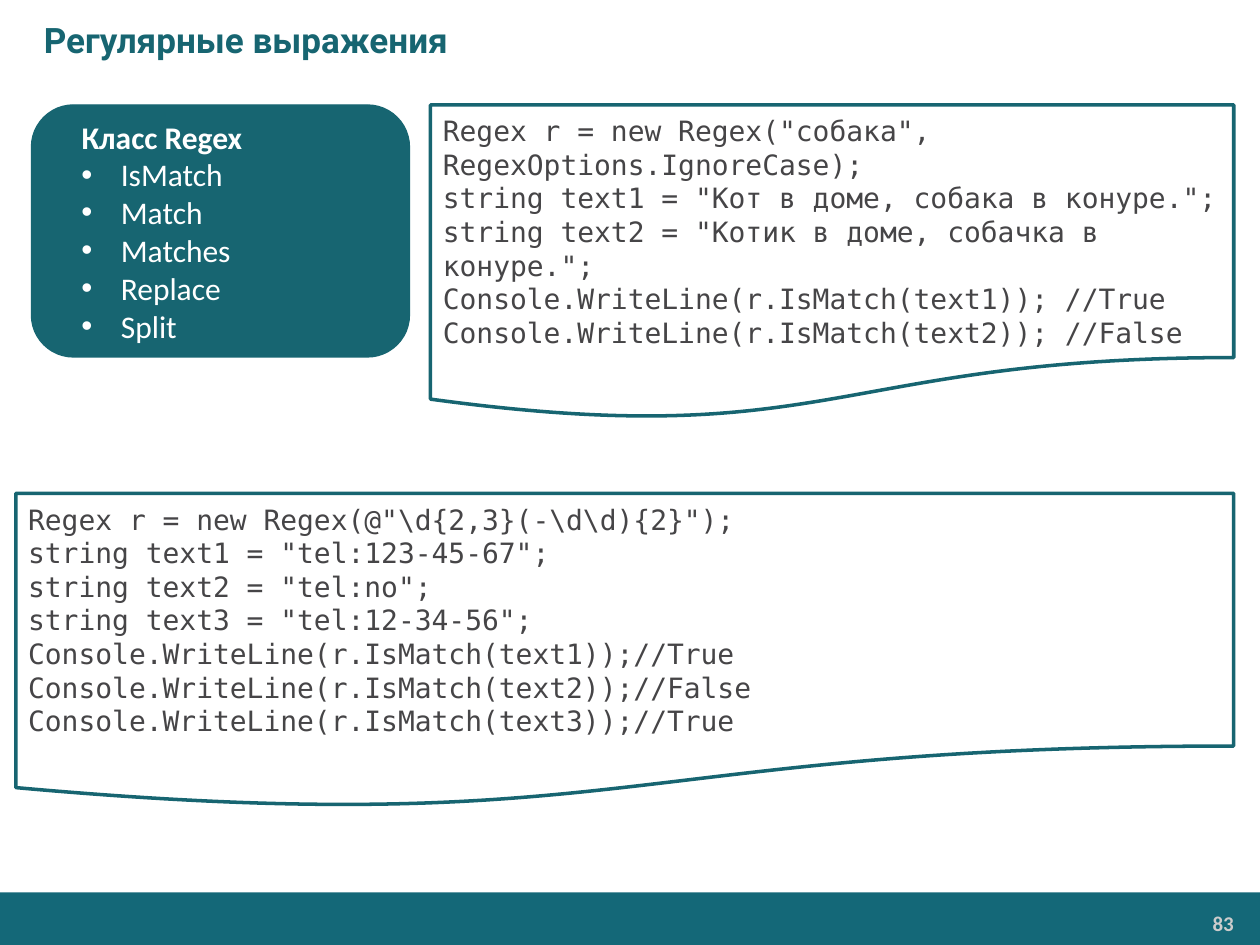
from lxml.etree import SubElement
from pptx import Presentation
from pptx.dml.color import RGBColor
from pptx.enum.shapes import MSO_SHAPE
from pptx.enum.text import MSO_ANCHOR, PP_ALIGN
from pptx.oxml.ns import qn
from pptx.util import Pt

TITLE = "Регулярные выражения"
PAGE_NUMBER = "83"
CLASS_NAME = "Класс Regex"
METHODS = ["IsMatch", "Match", "Matches", "Replace", "Split"]
IGNORE_CASE_CODE = [
    'Regex r = new Regex("собака", RegexOptions.IgnoreCase);',
    'string text1 = "Кот в доме, собака в конуре.";',
    'string text2 = "Котик в доме, собачка в конуре.";',
    "Console.WriteLine(r.IsMatch(text1)); //True",
    "Console.WriteLine(r.IsMatch(text2)); //False",
]
PHONE_CODE = [
    r'Regex r = new Regex(@"\d{2,3}(-\d\d){2}");',
    'string text1 = "tel:123-45-67";',
    'string text2 = "tel:no";',
    'string text3 = "tel:12-34-56";',
    "Console.WriteLine(r.IsMatch(text1));//True",
    "Console.WriteLine(r.IsMatch(text2));//False",
    "Console.WriteLine(r.IsMatch(text3));//True",
]

THEME = {
    "teal": RGBColor.from_string("176571"),
    "footer": RGBColor.from_string("146878"),
    "white": RGBColor.from_string("FFFFFF"),
    # text styles: font, size, colour, bold
    "title": ("Roboto", 20, RGBColor.from_string("176571"), True),
    "heading": ("Calibri", 18, RGBColor.from_string("FFFFFF"), True),
    "method": ("Calibri", 18, RGBColor.from_string("FFFFFF"), False),
    "code": ("DejaVu Sans Mono", 16, RGBColor.from_string("464547"), False),
    "number": ("Calibri", 12, RGBColor.from_string("CCCCCC"), True),
}

WIDTH, HEIGHT = 720, 540
FOOTER_TOP = 510
ROW_TOP = 60
CODE_RIGHT = 705
CODE_HEIGHT = 180


def add_panel(slide, preset, box, fill, line=None, line_width=0.75):
    shape = slide.shapes.add_shape(preset, *map(Pt, box))
    shape.shadow.inherit = False
    shape.fill.solid()
    shape.fill.fore_color.rgb = fill
    if line is None:
        shape.line.fill.background()
    else:
        shape.line.color.rgb = line
        shape.line.width = Pt(line_width)
    return shape


def write(shape, lines, anchor=MSO_ANCHOR.MIDDLE, align=PP_ALIGN.LEFT):
    """Fill a shape from (text, style, left margin, hanging indent) lines; a hanging line gets a bullet."""
    frame = shape.text_frame
    frame.word_wrap = True
    frame.vertical_anchor = anchor
    for index, (text, style, margin, hanging) in enumerate(lines):
        paragraph = frame.paragraphs[0] if index == 0 else frame.add_paragraph()
        paragraph.alignment = align
        properties = paragraph._p.get_or_add_pPr()
        properties.set("marL", str(Pt(margin)))
        properties.set("indent", str(-Pt(hanging)))
        if hanging:
            SubElement(properties, qn("a:buFont"), typeface="Arial")
            SubElement(properties, qn("a:buChar"), char="•")
        run = paragraph.add_run()
        run.text = text
        name, size, color, bold = THEME[style]
        run.font.name, run.font.size, run.font.bold = name, Pt(size), bold
        run.font.color.rgb = color


def add_code(slide, left, top, code):
    box = (left, top, CODE_RIGHT - left, CODE_HEIGHT)
    shape = add_panel(slide, MSO_SHAPE.FLOWCHART_DOCUMENT, box, THEME["white"], THEME["teal"], 2)
    write(shape, [(line, "code", 0, 0) for line in code])


def main():
    presentation = Presentation()
    presentation.slide_width, presentation.slide_height = Pt(WIDTH), Pt(HEIGHT)
    slide = presentation.slides.add_slide(presentation.slide_layouts[6])

    add_panel(slide, MSO_SHAPE.RECTANGLE, (0, FOOTER_TOP, WIDTH, HEIGHT - FOOTER_TOP), THEME["footer"])
    number = slide.shapes.add_textbox(Pt(592.5), Pt(517.5), Pt(117.5), Pt(20))
    frame = number.text_frame
    frame.margin_left = frame.margin_right = Pt(5)
    frame.margin_top = frame.margin_bottom = Pt(3)
    write(number, [(PAGE_NUMBER, "number", 0, 0)], MSO_ANCHOR.TOP, PP_ALIGN.RIGHT)

    title = slide.shapes.add_textbox(0, 0, Pt(WIDTH), Pt(45))
    write(title, [(TITLE, "title", 18, 0)])

    card = add_panel(slide, MSO_SHAPE.ROUNDED_RECTANGLE, (18, ROW_TOP, 216, 144), THEME["teal"], THEME["teal"])
    methods = [(method, "method", 37, 22.5) for method in METHODS]
    write(card, [(CLASS_NAME, "heading", 14.5, 0)] + methods)

    add_code(slide, 246, ROW_TOP, IGNORE_CASE_CODE)
    add_code(slide, 9, 282, PHONE_CODE)
    presentation.save("out.pptx")


if __name__ == "__main__":
    main()
